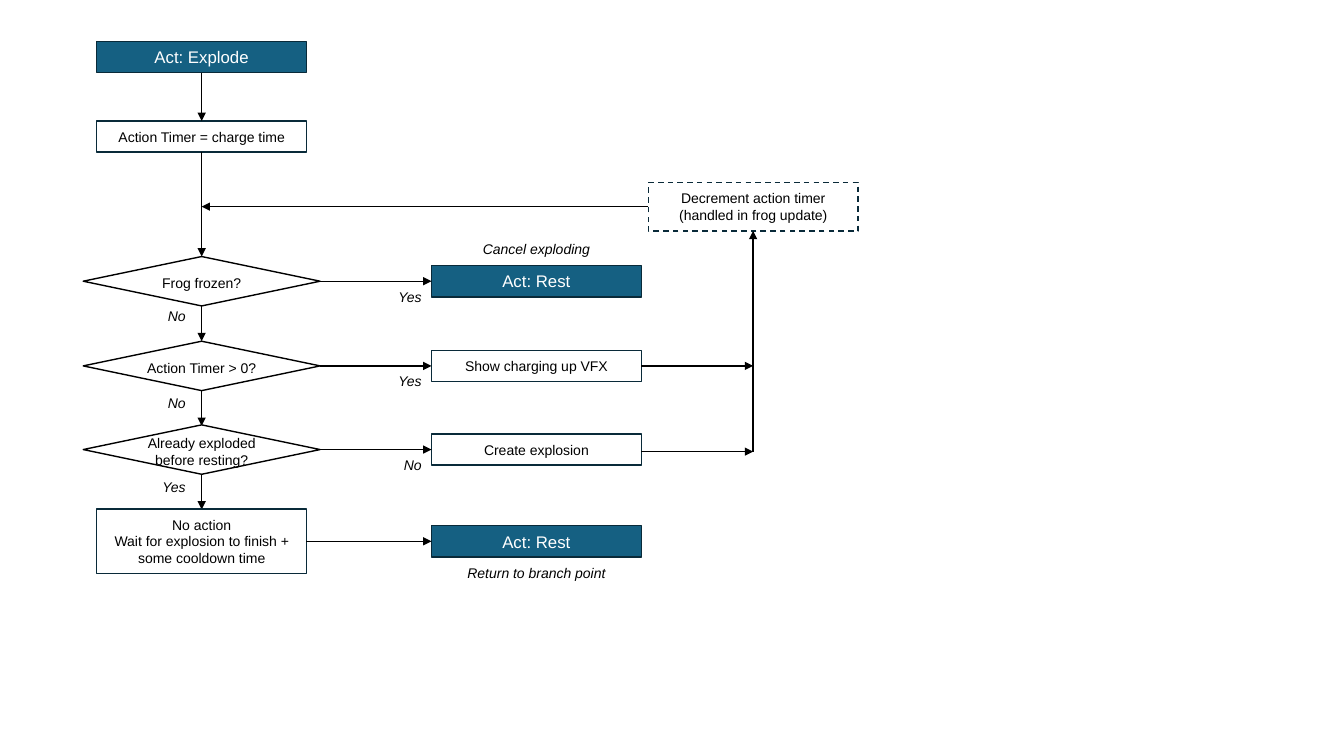
import pptx
import pptx.dml.color
import pptx.enum.dml
import pptx.enum.shapes
import pptx.enum.text
import pptx.oxml.ns
import pptx.util
from lxml import etree

SHAPE = pptx.enum.shapes.MSO_SHAPE
ALIGN = pptx.enum.text.PP_ALIGN
Inches = pptx.util.Inches

BLACK, WHITE, NAVY, TEAL = "000000", "FFFFFF", "092A39", "156082"

# Horizontal centres of the three columns
STEP_X, OUTCOME_X, LOOP_X = 2.0, 5.32, 7.47
BOX_W, BOX_H = 2.08, 0.31
DIAMOND_W, DIAMOND_H = 2.35, 0.49
LABEL_W, LABEL_H = 1.86, 0.27
ROW_GAP = 0.35


def colour(hex_string):
    return pptx.dml.color.RGBColor.from_string(hex_string)


def write(shape, words, size, ink, align, italic=False):
    frame = shape.text_frame
    frame.word_wrap = True
    frame.text = words
    for paragraph in frame.paragraphs:
        paragraph.alignment = align
        for run in paragraph.runs:
            run.font.name = "Arial"
            run.font.size = pptx.util.Pt(size)
            run.font.italic = italic
            run.font.color.rgb = colour(ink)


def node(slide, kind, words, centre, middle, width, height,
         fill=WHITE, line=NAVY, size=10, ink=BLACK):
    """Draw a flowchart shape around a centre point."""
    shape = slide.shapes.add_shape(
        kind, Inches(centre - width / 2), Inches(middle - height / 2),
        Inches(width), Inches(height))
    shape.shadow.inherit = False
    shape.fill.solid()
    shape.fill.fore_color.rgb = colour(fill)
    shape.line.color.rgb = colour(line)
    shape.line.width = pptx.util.Pt(1)
    shape.text_frame.vertical_anchor = pptx.enum.text.MSO_ANCHOR.MIDDLE
    write(shape, words, size, ink, ALIGN.CENTER)
    return shape


def process(slide, words, centre, middle, height=BOX_H):
    return node(slide, SHAPE.FLOWCHART_PROCESS, words, centre, middle, BOX_W, height)


def act(slide, words, centre, middle):
    """Draw a filled box that names a state of the frog."""
    node(slide, SHAPE.FLOWCHART_PROCESS, words, centre, middle, BOX_W, BOX_H,
         fill=TEAL, size=12, ink=WHITE)


def decision(slide, words, centre, middle):
    frame = node(slide, SHAPE.FLOWCHART_DECISION, words, centre, middle,
                 DIAMOND_W, DIAMOND_H, line=BLACK).text_frame
    frame.margin_left = frame.margin_right = frame.margin_bottom = 0
    frame.margin_top = Inches(0.04)


def label(slide, words, left, top, align=ALIGN.RIGHT):
    box = slide.shapes.add_textbox(
        Inches(left), Inches(top), Inches(LABEL_W), Inches(LABEL_H))
    write(box, words, 10, BLACK, align, italic=True)
    box.text_frame.auto_size = pptx.enum.text.MSO_AUTO_SIZE.SHAPE_TO_FIT_TEXT


def arrow(slide, x1, y1, x2, y2):
    connector = slide.shapes.add_connector(
        pptx.enum.shapes.MSO_CONNECTOR.STRAIGHT,
        Inches(x1), Inches(y1), Inches(x2), Inches(y2))
    connector.line.color.rgb = colour(BLACK)
    connector.line.width = pptx.util.Pt(1)
    qn = pptx.oxml.ns.qn
    etree.SubElement(connector.line._get_or_add_ln(), qn("a:tailEnd"), type="triangle")
    etree.SubElement(connector._element.spPr, qn("a:effectLst"))


def start(slide, top, first_decision_top):
    timer_top = top + 0.79
    act(slide, "Act: Explode", STEP_X, top + BOX_H / 2)
    process(slide, "Action Timer = charge time", STEP_X, timer_top + BOX_H / 2)
    arrow(slide, STEP_X, top + BOX_H, STEP_X, timer_top)
    arrow(slide, STEP_X, timer_top + BOX_H, STEP_X, first_decision_top)


def decision_row(slide, middle, question, side_answer, down_answer, down_top,
                 outcome, draw_outcome):
    """Draw a question with its outcome to the right and its exit below."""
    outcome_left = OUTCOME_X - BOX_W / 2
    bottom = middle + DIAMOND_H / 2
    decision(slide, question, STEP_X, middle)
    draw_outcome(slide, outcome, OUTCOME_X, middle)
    arrow(slide, STEP_X + DIAMOND_W / 2, middle, outcome_left, middle)
    arrow(slide, STEP_X, bottom, STEP_X, bottom + ROW_GAP)
    label(slide, side_answer, outcome_left - LABEL_W, middle + 0.02)
    label(slide, down_answer, STEP_X - 0.06 - LABEL_W, down_top)


def finish(slide, middle):
    process(slide, "No action\nWait for explosion to finish + some cooldown time",
            STEP_X, middle, 0.64)
    act(slide, "Act: Rest", OUTCOME_X, middle)
    arrow(slide, STEP_X + BOX_W / 2, middle, OUTCOME_X - BOX_W / 2, middle)
    label(slide, "Return to branch point", OUTCOME_X - LABEL_W / 2, middle + 0.18,
          ALIGN.CENTER)


def timer_loop(slide, middle, entries):
    """Draw the return path, joined from the outcome column at each entry."""
    height = 0.48
    timer = process(slide, "Decrement action timer\n(handled in frog update)",
                    LOOP_X, middle, height)
    timer.line.dash_style = pptx.enum.dml.MSO_LINE.DASH
    for entry in entries:
        arrow(slide, OUTCOME_X + BOX_W / 2, entry, LOOP_X, entry)
    arrow(slide, LOOP_X, max(entries), LOOP_X, middle + height / 2)
    arrow(slide, LOOP_X - BOX_W / 2, middle, STEP_X, middle)


def main():
    deck = pptx.Presentation()
    deck.slide_width, deck.slide_height = Inches(13.33), Inches(7.5)
    slide = deck.slides.add_slide(deck.slide_layouts[6])

    frozen, charging, exploded = 2.79, 3.63, 4.46
    start(slide, 0.41, frozen - DIAMOND_H / 2)
    decision_row(slide, frozen, "Frog frozen?", "Yes", "No", 3.0, "Act: Rest", act)
    label(slide, "Cancel exploding", OUTCOME_X - LABEL_W / 2, 2.34, ALIGN.CENTER)
    decision_row(slide, charging, "Action Timer > 0?", "Yes", "No", 3.86,
                 "Show charging up VFX", process)
    decision_row(slide, exploded, "Already exploded before resting?", "No", "Yes", 4.7,
                 "Create explosion", process)
    finish(slide, 5.37)
    timer_loop(slide, 2.05, (charging, exploded + 0.02))
    deck.save("out.pptx")


if __name__ == "__main__":
    main()
